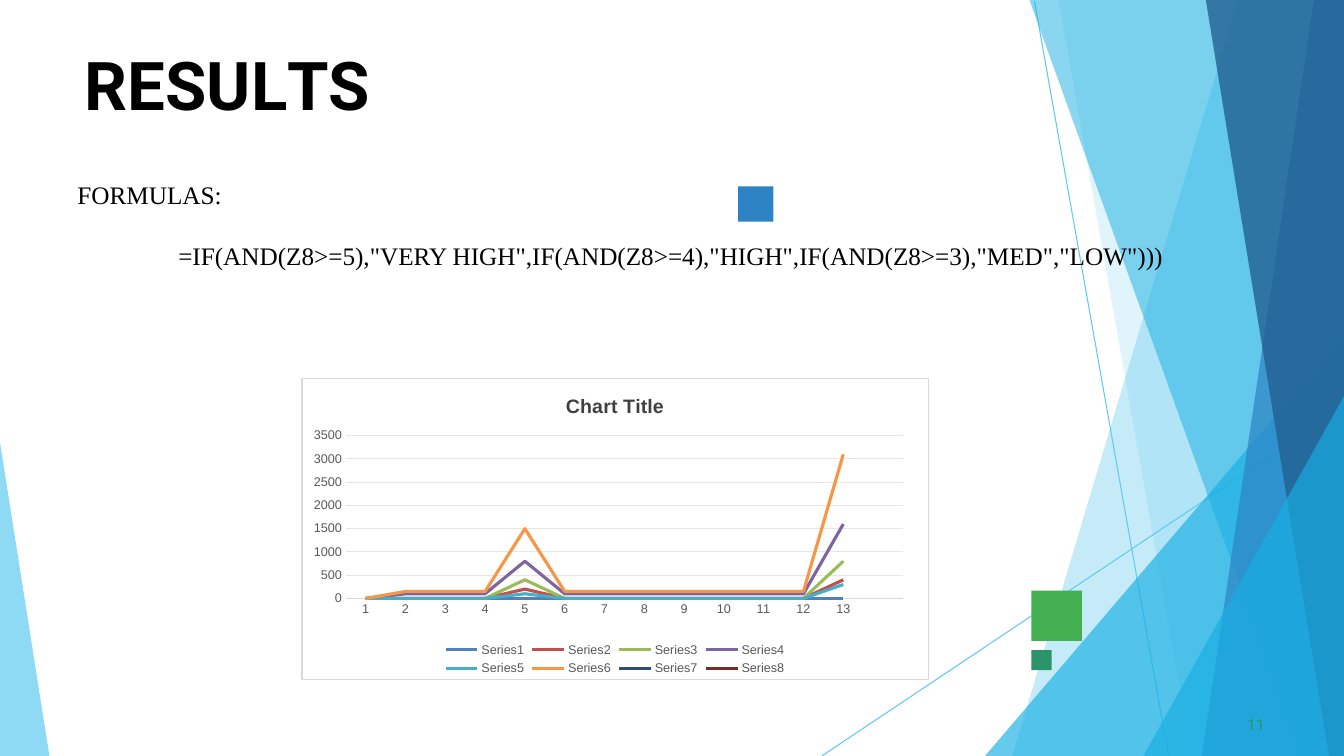
from dataclasses import dataclass

from pptx import Presentation
from pptx.chart.data import CategoryChartData
from pptx.dml.color import RGBColor
from pptx.enum.chart import XL_CHART_TYPE, XL_LEGEND_POSITION, XL_TICK_MARK
from pptx.enum.shapes import MSO_CONNECTOR, MSO_SHAPE
from pptx.enum.text import MSO_ANCHOR, PP_ALIGN
from pptx.oxml import parse_xml
from pptx.oxml.ns import nsdecls, qn
from pptx.util import Inches, Pt

LINE_CHART = XL_CHART_TYPE.LINE
LEGEND_BOTTOM = XL_LEGEND_POSITION.BOTTOM
NO_TICKS = XL_TICK_MARK.NONE
STRAIGHT = MSO_CONNECTOR.STRAIGHT
RECTANGLE = MSO_SHAPE.RECTANGLE
TOP = MSO_ANCHOR.TOP
LEFT = PP_ALIGN.LEFT

WIDTH, HEIGHT = 13.33, 7.5


@dataclass(frozen=True)
class Theme:
    display: str = "Roboto"
    body: str = "Times New Roman"
    chart: str = "Arial"
    ink: str = "000000"
    sky: str = "5FCAEE"
    cyan: str = "17AFE3"
    blue: str = "2D83C3"
    navy: str = "226192"
    green: str = "42AF51"
    teal: str = "2D936B"
    paper: str = "FFFFFF"
    border: str = "D9D9D9"
    grid: str = "E6E6E6"
    label: str = "595959"
    heading: str = "404040"
    title_size: float = 48
    body_size: float = 18
    number_size: float = 11
    chart_title_size: float = 14
    chart_size: float = 9


@dataclass(frozen=True)
class Facet:
    corners: tuple
    color: str
    opacity: int


@dataclass(frozen=True)
class Square:
    left: float
    top: float
    side: float
    color: str


@dataclass(frozen=True)
class Trend:
    color: str
    usual: float | None
    fifth: float | None
    last: float | None

    def values(self) -> list:
        start = None if self.usual is None else 0
        return [start, *[self.usual] * 3, self.fifth, *[self.usual] * 7, self.last, None]


THEME = Theme()


def right_facet(top_x: float, bottom_x: float, color: str, opacity: int) -> Facet:
    return Facet(((WIDTH, 0), (top_x, 0), (bottom_x, HEIGHT), (WIDTH, HEIGHT)), color, opacity)


def corner_facet(top_y: float, bottom_x: float) -> Facet:
    return Facet(((WIDTH, top_y), (bottom_x, HEIGHT), (WIDTH, HEIGHT)), THEME.cyan, 66)


RAYS = [((10.26, 0.01), (11.59, HEIGHT)), ((WIDTH, 4.04), (8.15, HEIGHT))]
FACETS = [
    right_facet(12.28, 10.04, THEME.sky, 36),
    right_facet(10.5, 11.82, THEME.sky, 20),
    corner_facet(3.33, 9.77),
    right_facet(10.21, 12.91, THEME.cyan, 50),
    right_facet(13.03, 11.92, THEME.blue, 70),
    right_facet(11.96, 13.18, THEME.navy, 80),
    corner_facet(3.93, 11.34),
    Facet(((0, 4.39), (0, HEIGHT), (0.49, HEIGHT)), THEME.sky, 70),
]
SQUARES = [
    Square(10.23, 5.86, 0.5, THEME.green),
    Square(7.32, 1.85, 0.35, THEME.blue),
    Square(10.23, 6.45, 0.2, THEME.teal),
]
TITLE_LETTERS = [("R", 0), ("E", -0.4), ("S", 0.1), ("U", -0.3), ("L", -4), ("TS", 0)]
FORMULA = '=IF(AND(Z8>=5),"VERY HIGH",IF(AND(Z8>=4),"HIGH",IF(AND(Z8>=3),"MED","LOW")))'
TRENDS = [
    Trend("4F81BD", 0, 0, 0),
    Trend("C0504D", 0, 200, 400),
    Trend("9BBB59", 0, 400, 800),
    Trend("8064A2", 100, 800, 1600),
    Trend("4BACC6", 0, 100, 300),
    Trend("F79646", 150, 1500, 3100),
    Trend("2C4D75", None, None, None),
    Trend("772C2A", None, None, None),
]


def rgb(color: str) -> RGBColor:
    return RGBColor.from_string(color)


def paint(shape, color: str, opacity: int = 100) -> None:
    shape.shadow.inherit = False
    shape.fill.solid()
    shape.fill.fore_color.rgb = rgb(color)
    shape.line.fill.background()
    if opacity < 100:
        tint = shape._element.spPr.find(qn("a:solidFill"))[0]
        tint.append(parse_xml(f'<a:alpha {nsdecls("a")} val="{opacity * 1000}"/>'))


def draw_ray(slide, start: tuple, end: tuple) -> None:
    ray = slide.shapes.add_connector(STRAIGHT, *map(Inches, start + end))
    ray.line.color.rgb = rgb(THEME.sky)
    ray.line.width = Pt(0.75)
    ray._element.spPr.append(parse_xml(f'<a:effectLst {nsdecls("a")}/>'))


def draw_facet(slide, facet: Facet) -> None:
    first, *others = [(Inches(x), Inches(y)) for x, y in facet.corners]
    outline = slide.shapes.build_freeform(*first)
    outline.add_line_segments(others, close=True)
    paint(outline.convert_to_shape(), facet.color, facet.opacity)


def draw_square(slide, square: Square) -> None:
    side = Inches(square.side)
    paint(slide.shapes.add_shape(RECTANGLE, Inches(square.left), Inches(square.top), side, side), square.color)


def place(shape, left: float, top: float, width: float, height: float) -> None:
    shape.left, shape.top = Inches(left), Inches(top)
    shape.width, shape.height = Inches(width), Inches(height)


def prepare(frame, side: float = 0, top: float = 0.01, bottom: float = 0) -> None:
    frame.word_wrap = True
    frame.vertical_anchor = TOP
    frame.margin_left = frame.margin_right = Inches(side)
    frame.margin_top, frame.margin_bottom = Inches(top), Inches(bottom)


def write(paragraph, text: str, *, font: str, size: float, color: str, bold: bool = False,
          spacing: float = 0, before: float = 0, indent: float = 0) -> None:
    paragraph.alignment = LEFT
    paragraph.space_before = Pt(before)
    properties = paragraph._p.get_or_add_pPr()
    properties.set("marL", str(Inches(indent)))
    properties.set("indent", "0")
    run = paragraph.add_run()
    run.text = text
    run.font.name, run.font.size, run.font.bold = font, Pt(size), bold
    run.font.color.rgb = rgb(color)
    run._r.get_or_add_rPr().set("spc", str(round(spacing * 100)))


def style_font(font, size: float, color: str, bold: bool = False) -> None:
    font.name, font.size, font.bold = THEME.chart, Pt(size), bold
    font.color.rgb = rgb(color)


def style_line(line, color: str, width: float = 0.75) -> None:
    line.color.rgb = rgb(color)
    line.width = Pt(width)


def frame_chart(chart) -> None:
    plot_area = chart._chartSpace.chart.plotArea
    for layout in plot_area.findall(qn("c:layout")):
        plot_area.remove(layout)
    bounds = "".join(f'<c:{key} val="{value}"/>' for key, value in
                     (("x", 0.07), ("y", 0.19), ("w", 0.89), ("h", 0.54)))
    plot_area.insert(0, parse_xml(
        f'<c:layout {nsdecls("c")}><c:manualLayout><c:layoutTarget val="inner"/>'
        f'<c:xMode val="edge"/><c:yMode val="edge"/>{bounds}</c:manualLayout></c:layout>'))
    chart._chartSpace.chart.addnext(parse_xml(
        f'<c:spPr {nsdecls("c", "a")}><a:solidFill><a:srgbClr val="{THEME.paper}"/></a:solidFill>'
        f'<a:ln w="{Pt(0.75)}"><a:solidFill><a:srgbClr val="{THEME.border}"/></a:solidFill></a:ln></c:spPr>'))


def draw_chart(slide) -> None:
    data = CategoryChartData()
    data.categories = [str(number) for number in range(1, 14)] + [""]
    for number, trend in enumerate(TRENDS, 1):
        data.add_series(f"Series{number}", trend.values())
    bounds = map(Inches, (2.99, 3.75, 6.22, 3))
    chart = slide.shapes.add_chart(LINE_CHART, *bounds, data).chart
    style_font(chart.font, THEME.chart_size, THEME.label)
    heading = chart.chart_title.text_frame
    heading.text = "Chart Title"
    style_font(heading.paragraphs[0].runs[0].font, THEME.chart_title_size, THEME.heading, True)
    chart.has_legend = True
    chart.legend.position = LEGEND_BOTTOM
    chart.legend.include_in_layout = False
    chart.plots[0].vary_by_categories = False
    for series, trend in zip(chart.plots[0].series, TRENDS):
        series.smooth = False
        style_line(series.format.line, trend.color, 2.25)
    for axis in (chart.category_axis, chart.value_axis):
        axis.major_tick_mark = axis.minor_tick_mark = NO_TICKS
    style_line(chart.category_axis.format.line, THEME.border)
    amounts = chart.value_axis
    amounts.minimum_scale, amounts.maximum_scale, amounts.major_unit = 0, 3500, 500
    amounts.format.line.fill.background()
    style_line(amounts.major_gridlines.format.line, THEME.grid)
    frame_chart(chart)


def main() -> None:
    deck = Presentation()
    deck.slide_width, deck.slide_height = Inches(WIDTH), Inches(HEIGHT)
    slide = deck.slides.add_slide(deck.slide_layouts[5])
    for start, end in RAYS:
        draw_ray(slide, start, end)
    for facet in FACETS:
        draw_facet(slide, facet)
    for square in SQUARES:
        draw_square(slide, square)

    title = slide.shapes.title
    place(title, 0.83, 0.42, 11.68, 0.81)
    prepare(title.text_frame)
    for letters, spacing in TITLE_LETTERS:
        write(title.text_frame.paragraphs[0], letters, font=THEME.display, size=THEME.title_size,
              color=THEME.ink, bold=True, spacing=spacing, before=1, indent=0.01)

    formulas = slide.shapes.add_textbox(*map(Inches, (0.67, 1.73, 12, 1.2))).text_frame
    prepare(formulas, side=0.1, top=0.05, bottom=0.05)
    body = {"font": THEME.body, "size": THEME.body_size, "color": THEME.ink}
    write(formulas.paragraphs[0], "FORMULAS:", **body)
    write(formulas.add_paragraph(), FORMULA, before=22, indent=1, **body)

    page_number = slide.shapes.add_textbox(*map(Inches, (12.33, 7.08, 0.25, 0.18))).text_frame
    prepare(page_number)
    write(page_number.paragraphs[0], "11", font=THEME.display, size=THEME.number_size,
          color=THEME.teal, spacing=0.1, before=0.6, indent=0.04)
    draw_chart(slide)
    deck.save("out.pptx")


if __name__ == "__main__":
    main()
